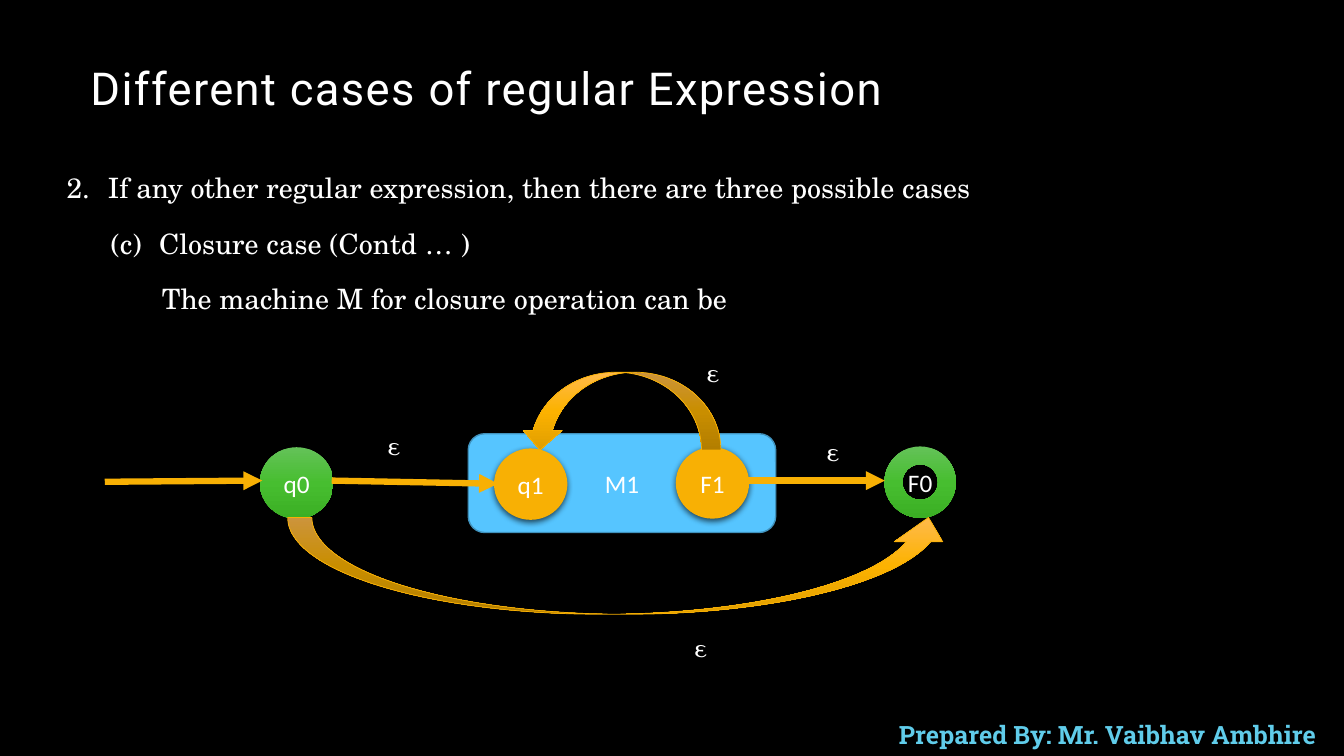
from copy import deepcopy

from lxml.etree import SubElement
from pptx import Presentation
from pptx.dml.color import RGBColor
from pptx.enum.shapes import MSO_CONNECTOR, MSO_SHAPE
from pptx.enum.text import MSO_ANCHOR, PP_ALIGN
from pptx.oxml.ns import qn
from pptx.util import Cm, Pt

COLORS = {
    "black": "000000", "white": "FFFFFF", "credit": "60CCEA",
    "machine": "56C5FF", "machine_edge": "4092BD", "amber": "F8B004",
}
GREEN_FADE = ("64C258", "47BE30", "3BAF24")
AMBER_FADE = ("FFBA4B", "FCB200", "E09E00")

TITLE = {"name": "Roboto", "size": Pt(32.4)}
BODY = {"name": "TeX Gyre Schola", "size": Pt(20)}
EPSILON = {"name": "TeX Gyre Schola", "size": Pt(18)}
LABEL = {"name": "Calibri", "size": Pt(18)}
CREDIT = {"name": "Roboto Slab", "size": Pt(18), "bold": True}


def rgb(name):
    return RGBColor.from_string(COLORS[name])


def set_attributes(target, values):
    for name, value in values.items():
        setattr(target, name, value)


def write(para, text, font, color="white", **layout):
    span = para.add_run()
    span.text = text
    set_attributes(span.font, font)
    span.font.color.rgb = rgb(color)
    set_attributes(para, layout)
    return span


def add_text_box(page, place, anchor=MSO_ANCHOR.TOP):
    box = page.shapes.add_textbox(*map(Cm, place))
    set_attributes(box.text_frame, {"word_wrap": True, "vertical_anchor": anchor})
    return box.text_frame


def fill_fade(shape, fade):
    """Three-stop gradient running from top to bottom."""
    shape.fill.gradient()
    shape.fill.gradient_angle = 270
    stop_list = shape._element.spPr.find(".//" + qn("a:gsLst"))
    stop_list.append(deepcopy(stop_list[0]))
    for stop, position, color in zip(shape.fill.gradient_stops, (0, 0.5, 1), fade):
        stop.position = position
        stop.color.rgb = RGBColor.from_string(color)


def add_shape(page, kind, place, fill, edge=None, edge_width=1, label=""):
    shape = page.shapes.add_shape(kind, *map(Cm, place))
    shape.shadow.inherit = False
    if isinstance(fill, tuple):
        fill_fade(shape, fill)
    else:
        shape.fill.solid()
        shape.fill.fore_color.rgb = rgb(fill)
    if edge:
        shape.line.color.rgb = rgb(edge)
        shape.line.width = Pt(edge_width)
    else:
        shape.line.fill.background()
    if label:
        set_attributes(shape.text_frame, {
            "margin_left": 0, "margin_right": 0, "word_wrap": False,
            "vertical_anchor": MSO_ANCHOR.MIDDLE})
        write(shape.text_frame.paragraphs[0], label, LABEL, alignment=PP_ALIGN.CENTER)
    return shape


def add_state(page, label, left, top, fill, kind=MSO_SHAPE.OVAL, width=1.85):
    state = add_shape(page, kind, (left, top, width, 1.8), fill, label=label)
    effects = state._element.spPr.find(qn("a:effectLst"))
    shadow = SubElement(effects, qn("a:outerShdw"), blurRad=str(Pt(4.5)),
                        dist=str(Pt(1.5)), dir="5400000", rotWithShape="0")
    shade = SubElement(shadow, qn("a:srgbClr"), val=COLORS["black"])
    SubElement(shade, qn("a:alpha"), val="63000")


def add_arrow(page, *ends):
    arrow = page.shapes.add_connector(MSO_CONNECTOR.STRAIGHT, *map(Cm, ends))
    arrow.line.color.rgb = rgb("amber")
    arrow.line.width = Pt(4.5)
    SubElement(arrow.line._get_or_add_ln(), qn("a:tailEnd"), type="triangle")
    SubElement(arrow._element.spPr, qn("a:effectLst"))


def add_headings(page):
    credit = add_text_box(page, (21.96, 18, 11.9, 1.02))
    write(credit.paragraphs[0], "Prepared By: Mr. Vaibhav Ambhire", CREDIT,
          "credit", alignment=PP_ALIGN.CENTER)

    title = add_text_box(page, (2.03, 1.02, 26.52, 2.01), MSO_ANCHOR.BOTTOM)
    span = write(title.paragraphs[0], "Different cases of regular Expression",
                 TITLE, line_spacing=0.9)
    span.font._element.set("spc", "100")


def add_body(page):
    frame = add_text_box(page, (1.43, 4.27, 28.8, 4.29))
    # Text, left margin and first-line indent in cm
    lines = (
        ("2.\tIf any other regular expression, then there are three possible cases", 1.04, -1.04),
        ("(c)\tClosure case (Contd … )", 2.33, -1.22),
        ("The machine M for closure operation can be", 2.4, 0),
    )
    for number, (text, margin, indent) in enumerate(lines):
        para = frame.add_paragraph() if number else frame.paragraphs[0]
        write(para, text, BODY, line_spacing=0.9, space_before=Pt(18))
        para._p.get_or_add_pPr().set("marL", str(Cm(margin)))
        para._p.get_or_add_pPr().set("indent", str(Cm(indent)))


def add_automaton(page):
    # Machine M1 and the states
    add_shape(page, MSO_SHAPE.ROUNDED_RECTANGLE, (11.8, 10.93, 7.75, 2.49),
              "machine", "machine_edge", label="M1")
    add_state(page, "q1", 12.45, 11.3, "amber")
    add_state(page, "F1", 17.03, 11.27, "amber")
    add_state(page, "q0", 6.55, 11.27, GREEN_FADE)
    add_state(page, "F0", 22.29, 11.25, GREEN_FADE, MSO_SHAPE.DONUT, 1.8)

    # Straight transitions
    for ends in ((2.64, 12.14, 6.61, 12.11), (18.85, 12.11, 22.3, 12.11),
                 (8.36, 12.11, 12.55, 12.19)):
        add_arrow(page, *ends)

    # Skip and loop transitions
    add_shape(page, MSO_SHAPE.CURVED_UP_ARROW, (7.25, 13.04, 16.76, 2.44),
              AMBER_FADE, "amber", 0.5)
    loop = add_shape(page, MSO_SHAPE.CURVED_DOWN_ARROW, (13.12, 9.38, 5.05, 1.96),
                     AMBER_FADE, "amber", 0.5)
    loop._element.spPr.xfrm.set("flipH", "1")

    # Transition labels
    for left, top in ((20.58, 10.87), (9.52, 10.72), (17.25, 15.8), (17.56, 8.89)):
        frame = add_text_box(page, (left, top, 1.07, 1.07))
        write(frame.paragraphs[0], "ε", EPSILON)


def main():
    deck = Presentation()
    set_attributes(deck, {"slide_width": Cm(33.87), "slide_height": Cm(19.05)})
    page = deck.slides.add_slide(deck.slide_layouts[6])
    page.background.fill.solid()
    page.background.fill.fore_color.rgb = rgb("black")
    add_headings(page)
    add_body(page)
    add_automaton(page)
    deck.save("out.pptx")


if __name__ == "__main__":
    main()
